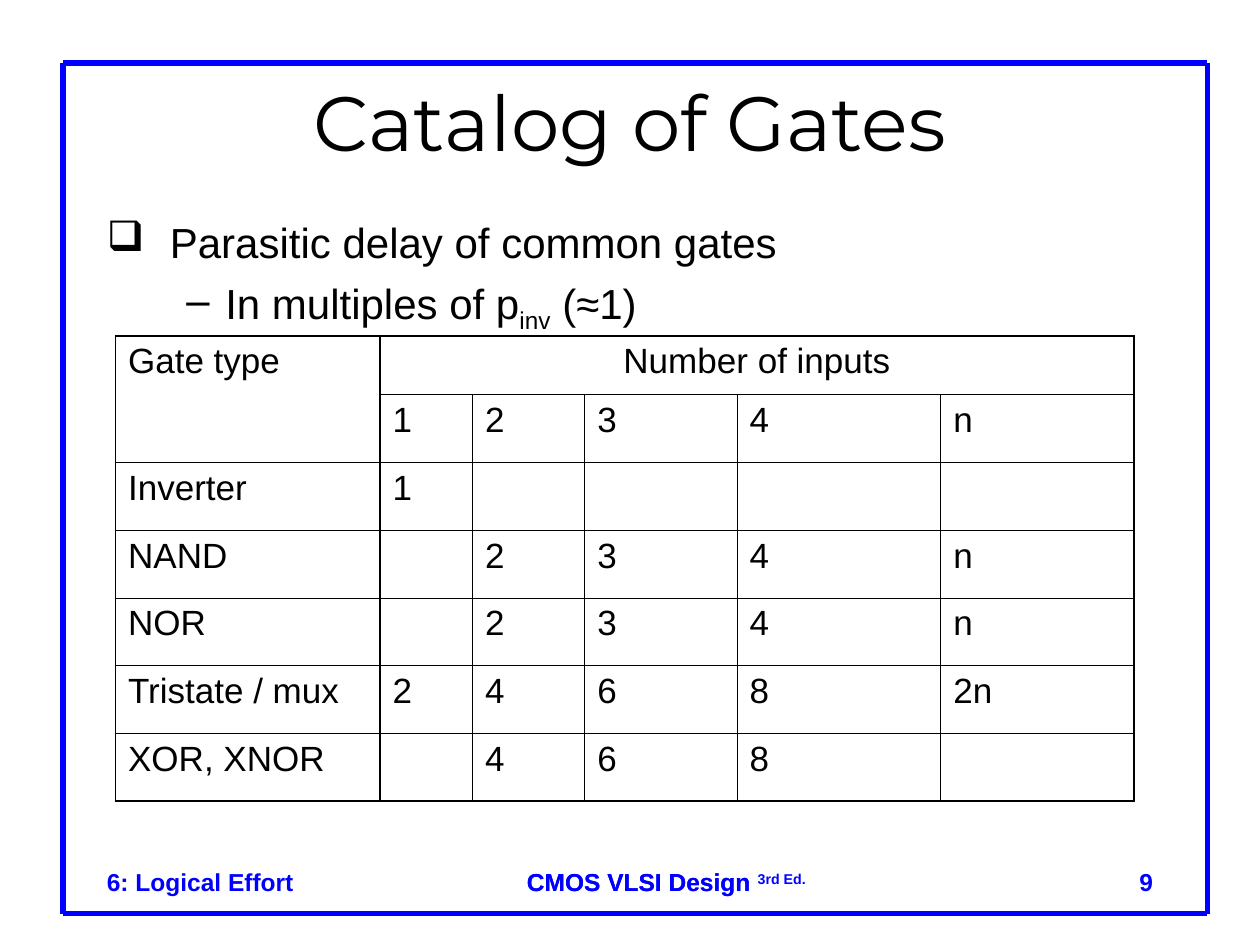
from lxml.etree import SubElement
from pptx import Presentation
from pptx.dml.color import RGBColor
from pptx.enum.shapes import MSO_CONNECTOR
from pptx.enum.text import MSO_ANCHOR, PP_ALIGN
from pptx.oxml.ns import qn
from pptx.util import Inches, Pt

deck = Presentation()
deck.slide_width, deck.slide_height = Inches(10), Inches(7.5)
slide = deck.slides.add_slide(deck.slide_layouts[6])
shapes = slide.shapes
unit = deck.slide_width / 120
hue = RGBColor.from_string


def box(*place):
    frame = shapes.add_textbox(*[round(n * unit) for n in place]).text_frame
    frame.word_wrap = True
    return frame


def style(para, size, tint="000000", face="Arial", bold=False, align=PP_ALIGN.LEFT):
    para.alignment = align
    for run in para.runs:
        run.font.size = Pt(size)
        run.font.name = face
        run.font.bold = bold
        run.font.color.rgb = hue(tint)


left, top, right, base = 6, 6, 115, 87
edges = [
    (left, top, left, base),
    (left, top, right, top),
    (right, top, right, base),
    (left, base, right, base),
]
for edge in edges:
    line = shapes.add_connector(MSO_CONNECTOR.STRAIGHT, *[round(n * unit) for n in edge])
    line.line.color.rgb = hue("0000FF")
    line.line.width = Pt(3)
    SubElement(line._element.spPr, qn("a:effectLst"))

feet = [
    (49, 29, 4, "CMOS VLSI Design", "", PP_ALIGN.LEFT),
    (49, 30, 4, "CMOS VLSI Design ", "3rd Ed.", PP_ALIGN.LEFT),
    (9, 102, 6, "6: Logical Effort", "", PP_ALIGN.LEFT),
    (86, 25, 6, "9", "", PP_ALIGN.RIGHT),
]
for x, width, height, text, small, align in feet:
    para = box(x, 82, width, height).paragraphs[0]
    para.text = text
    if small:
        run = para.add_run()
        run.text = small
        run.font._element.set("baseline", "30000")
    style(para, 14, "0000FF", bold=True, align=align)

title = box(9, 7, 102, 9)
title.vertical_anchor = MSO_ANCHOR.MIDDLE
title.text = "Catalog of Gates"
style(title.paragraphs[0], 44, face="Montserrat", align=PP_ALIGN.CENTER)

rows = [
    ["Gate type", "Number of inputs", "", "", "", ""],
    ["", "1", "2", "3", "4", "n"],
    ["Inverter", "1", "", "", "", ""],
    ["NAND", "", "2", "3", "4", "n"],
    ["NOR", "", "2", "3", "4", "n"],
    ["Tristate / mux", "2", "4", "6", "8", "2n"],
    ["XOR, XNOR", "", "4", "6", "8", ""],
]
wide = [25.2, 8.8, 10.7, 14.5, 19.4, 18.4]
tall = [5.6] + [6.45] * 6
place = [round(n * unit) for n in (11, 32, sum(wide), sum(tall))]
grid = shapes.add_table(len(rows), len(wide), *place).table
grid.first_row = grid.horz_banding = False
for col, width in zip(grid.columns, wide):
    col.width = round(width * unit)
for row, height in zip(grid.rows, tall):
    row.height = round(height * unit)
grid.cell(0, 0).merge(grid.cell(1, 0))
grid.cell(0, 1).merge(grid.cell(0, 5))

for r, row in enumerate(rows):
    for c, text in enumerate(row):
        cell = grid.cell(r, c)
        across = cell.span_width if cell.is_merge_origin else 1
        down = cell.span_height if cell.is_merge_origin else 1
        heavy = {
            "L": c in (0, 1),
            "R": c + across in (1, 6),
            "T": r in (0, 2),
            "B": r + down in (2, 7),
        }
        props = cell._tc.get_or_add_tcPr()
        for side, thick in heavy.items():
            rule = SubElement(props, qn(f"a:ln{side}"), w=str(Pt(1.08 if thick else 0.45)))
            fill = SubElement(rule, qn("a:solidFill"))
            SubElement(fill, qn("a:srgbClr"), val="000000")
        cell.fill.background()
        if text:
            cell.text_frame.text = text
            align = PP_ALIGN.CENTER if (r, c) == (0, 1) else PP_ALIGN.LEFT
            style(cell.text_frame.paragraphs[0], 20, align=align)

body = box(9, 20, 102, 60)
items = [
    (0, 0.5, -0.5, "❑", [("Parasitic delay of common gates", 0)]),
    (1, 0.94, -0.31, "–", [("In multiples of p", 0), ("inv", -25000), (" (≈1)", 0)]),
]
for level, margin, indent, mark, parts in items:
    para = body.add_paragraph() if level else body.paragraphs[0]
    para.level = level
    if level:
        para.space_before = Pt(6)
    props = para._p.get_or_add_pPr()
    props.set("marL", str(Inches(margin)))
    props.set("indent", str(Inches(indent)))
    color = SubElement(props, qn("a:buClr"))
    SubElement(color, qn("a:srgbClr"), val="000000")
    SubElement(props, qn("a:buChar"), char=mark)
    for text, shift in parts:
        run = para.add_run()
        run.text = text
        if shift:
            run.font._element.set("baseline", str(shift))
    style(para, 24)

deck.save("out.pptx")
